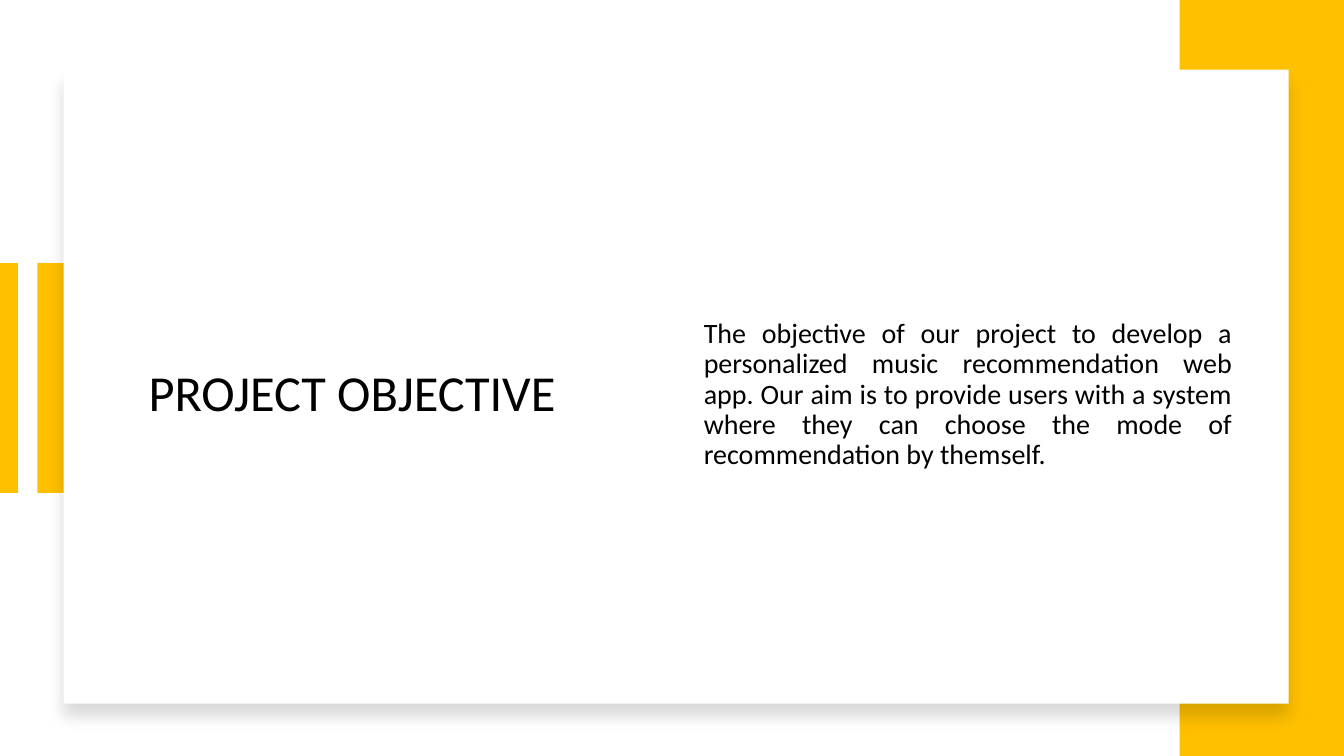
from lxml.etree import SubElement
from pptx import Presentation
from pptx.dml.color import RGBColor
from pptx.enum.shapes import MSO_CONNECTOR as Connector, MSO_SHAPE as Shape
from pptx.enum.text import MSO_ANCHOR as Anchor, MSO_AUTO_SIZE as AutoSize, PP_ALIGN as Align
from pptx.oxml.ns import qn
from pptx.util import Inches, Pt

AMBER = RGBColor(0xFF, 0xC0, 0x00)
WHITE = RGBColor(0xFF, 0xFF, 0xFF)
BLACK = RGBColor(0x00, 0x00, 0x00)
FONT = "Calibri"
WIDTH, HEIGHT = 13.33, 7.5
TITLE = " PROJECT OBJECTIVE"
OBJECTIVE = (
    "The objective of our project to develop a personalized music recommendation web app. "
    "Our aim is to provide users with a system where they can choose the mode of "
    "recommendation by themself. "
)


def add_block(page, box, color):
    block = page.shapes.add_shape(Shape.RECTANGLE, *map(Inches, box))
    block.shadow.inherit = False
    block.fill.solid()
    block.fill.fore_color.rgb = color
    block.line.fill.background()
    return block


def add_left_accent(page, box):
    left, top, width, height = box
    bar_width = 0.34
    add_block(page, (left + width - bar_width, top, bar_width, height), AMBER)
    stripe = page.shapes.add_connector(
        Connector.STRAIGHT, *map(Inches, (left, top, left, top + height)))
    stripe.line.color.rgb = AMBER
    stripe.line.width = Pt(14)
    SubElement(stripe._element.spPr, qn("a:effectLst"))


def add_card(page, box):
    card = add_block(page, box, WHITE)
    effects = card._element.spPr.find(qn("a:effectLst"))
    shadow = SubElement(effects, qn("a:outerShdw"), blurRad=str(Pt(11)), dist=str(Pt(10)),
                        dir=str(90 * 60000), algn="t", rotWithShape="0")
    color = SubElement(shadow, qn("a:srgbClr"), val=str(BLACK))
    SubElement(color, qn("a:alpha"), val="15000")


def fill_placeholder(holder, box, text, size, align, space_before):
    holder.left, holder.top, holder.width, holder.height = map(Inches, box)
    frame = holder.text_frame
    frame.word_wrap = True
    frame.auto_size = AutoSize.NONE
    frame.vertical_anchor = Anchor.MIDDLE
    para = frame.paragraphs[0]
    para.alignment = align
    para.line_spacing = 0.9
    para.space_before = Pt(space_before)
    properties = para._p.get_or_add_pPr()
    properties.set("marL", "0")
    properties.set("indent", "0")
    SubElement(properties, qn("a:buNone"))
    span = para.add_run()
    span.text = text
    span.font.name = FONT
    span.font.size = Pt(size)
    span.font.color.rgb = BLACK


def add_objective_slide(deck):
    page = deck.slides.add_slide(deck.slide_layouts[1])
    page.background.fill.solid()
    page.background.fill.fore_color.rgb = WHITE
    title, body = page.placeholders
    add_left_accent(page, (0.08, 2.61, 0.63, 2.28))
    band_width = 1.63
    add_block(page, (WIDTH - band_width, 0, band_width, HEIGHT), AMBER)
    add_card(page, (0.63, 0.69, 12.15, 6.29))
    text_top, text_height = 1.36, 5.12
    fill_placeholder(title, (1.26, text_top, 4.38, text_height), TITLE, 36, Align.LEFT, 0)
    fill_placeholder(body, (6.88, text_top, 5.44, text_height), OBJECTIVE, 20, Align.JUSTIFY, 10)
    for holder in (title, body):
        page.shapes._spTree.append(holder._element)


def main():
    deck = Presentation()
    deck.slide_width, deck.slide_height = Inches(WIDTH), Inches(HEIGHT)
    add_objective_slide(deck)
    deck.save("out.pptx")


if __name__ == "__main__":
    main()
